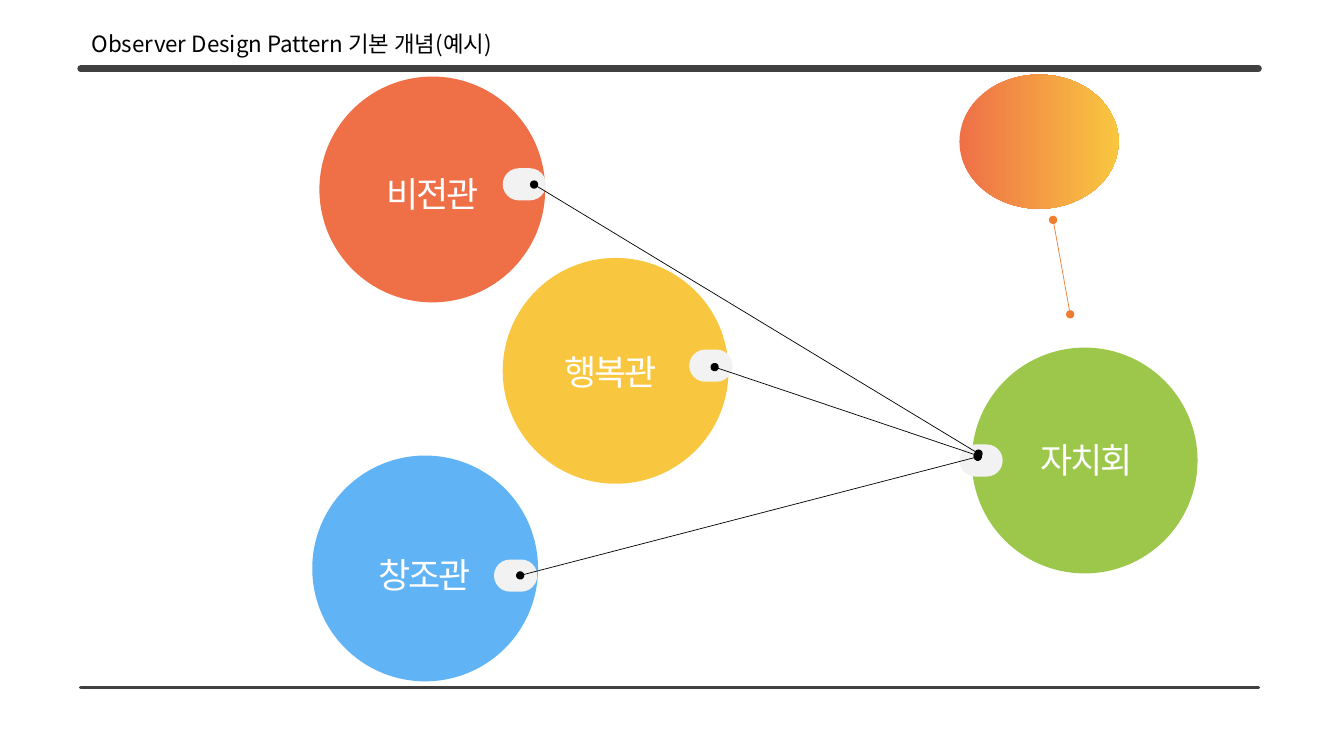
"""Build a slide that shows the observer pattern as three halls linked to a council."""
from lxml import etree
from pptx import Presentation
from pptx import util as u
from pptx.dml.color import RGBColor
from pptx.enum import shapes, text
from pptx.oxml.ns import qn

FONT = "Noto Sans CJK KR"
BLACK = RGBColor(0x00, 0x00, 0x00)
WHITE = RGBColor(0xFF, 0xFF, 0xFF)
GRAY = RGBColor(0x40, 0x40, 0x40)
PALE = RGBColor(0xF2, 0xF2, 0xF2)
BLUE = RGBColor(0x39, 0xA1, 0xF3)
RED = RGBColor(0xEB, 0x4C, 0x1A)
GOLD = RGBColor(0xF8, 0xB9, 0x10)
GREEN = RGBColor(0x84, 0xBA, 0x1E)
ORANGE = RGBColor(0xED, 0x7D, 0x31)

TITLE = "Observer Design Pattern 기본 개념(예시)"
DISC, PORT = 5.69, (1.09, 0.81)
LABEL_HIGH = 1.32
NODES = [
    dict(name="창조관", color=BLUE, disc=(7.87, 11.48), label=(9.02, 13.82, 3.38), port=(12.45, 14.1)),
    dict(name="비전관", color=RED, disc=(8.05, 1.93), label=(9.4, 4.22, 3.02), port=(12.67, 4.24)),
    dict(name="행복관", color=GOLD, disc=(12.67, 6.5), label=(13.89, 8.71, 3.02), port=(17.37, 8.81)),
    dict(name="자치회", color=GREEN, disc=(24.49, 8.76), label=(25.88, 10.92, 3.02), port=(24.18, 11.2)),
]
RULES = [(1.73, 4.5), (17.32, 2.25)]
RULE_LEFT, RULE_RIGHT = 2.03, 31.72
LINKS = [
    ((24.64, 11.48), (18.01, 9.25), BLACK),
    ((24.64, 11.51), (13.11, 14.5), BLACK),
    ((24.66, 11.43), (13.46, 4.65), BLACK),
    ((26.54, 5.54), (26.97, 7.92), ORANGE),
]
NOTICE = (24.18, 1.88, 4.01, 3.38)

deck = Presentation()
deck.slide_width, deck.slide_height = u.Cm(33.87), u.Cm(19.05)
slide = deck.slides.add_slide(deck.slide_layouts[6])


def add_text(words, box, size, color, align=text.PP_ALIGN.LEFT, space=None):
    frame = slide.shapes.add_textbox(*map(u.Cm, box)).text_frame
    frame.word_wrap = False
    para = frame.paragraphs[0]
    para.alignment = align
    run = para.add_run()
    run.text = words
    run.font.size, run.font.name = u.Pt(size), FONT
    run.font.color.rgb = color
    props = run.font._element
    if space:
        props.set("spc", str(space))
    etree.SubElement(props, qn("a:ea"), typeface=FONT)


def add_shape(kind, box, color=None):
    shape = slide.shapes.add_shape(kind, *map(u.Cm, box))
    shape.shadow.inherit = False
    shape.line.fill.background()
    if color is not None:
        shape.fill.solid()
        shape.fill.fore_color.rgb = color
    return shape


def fade(shape):
    for color in shape._element.spPr.iter(qn("a:srgbClr")):
        etree.SubElement(color, qn("a:alpha"), val="80000")


def add_line(start, end, color, width, dots=False):
    line = slide.shapes.add_connector(shapes.MSO_CONNECTOR.STRAIGHT, *map(u.Cm, start + end))
    line.line.color.rgb = color
    line.line.width = u.Pt(width)
    stroke = line.line._get_or_add_ln()
    if dots:
        for tip in ("a:headEnd", "a:tailEnd"):
            etree.SubElement(stroke, qn(tip), type="oval")
    else:
        stroke.set("cap", "rnd")
    etree.SubElement(line._element.spPr, qn("a:effectLst"))


for top, width in RULES:
    add_line((RULE_LEFT, top), (RULE_RIGHT, top), GRAY, width)
for node in NODES:
    fade(add_shape(shapes.MSO_SHAPE.OVAL, node["disc"] + (DISC, DISC), node["color"]))
for node in NODES:
    add_text(node["name"], node["label"] + (LABEL_HIGH,), 25, WHITE, text.PP_ALIGN.CENTER, -150)
    port = add_shape(shapes.MSO_SHAPE.ROUNDED_RECTANGLE, node["port"] + PORT, PALE)
    port.adjustments[0] = 0.5

notice = add_shape(shapes.MSO_SHAPE.OVAL, NOTICE)
notice.fill.gradient()
notice.fill.gradient_angle = 0
for stop, color in zip(notice.fill.gradient_stops, (RED, GOLD)):
    stop.color.rgb = color
fade(notice)

for start, end, color in LINKS:
    add_line(start, end, color, 0.5, dots=True)
add_text(TITLE, (2.06, 0.64, 11.23, 0.94), 16, BLACK)

deck.save("out.pptx")
